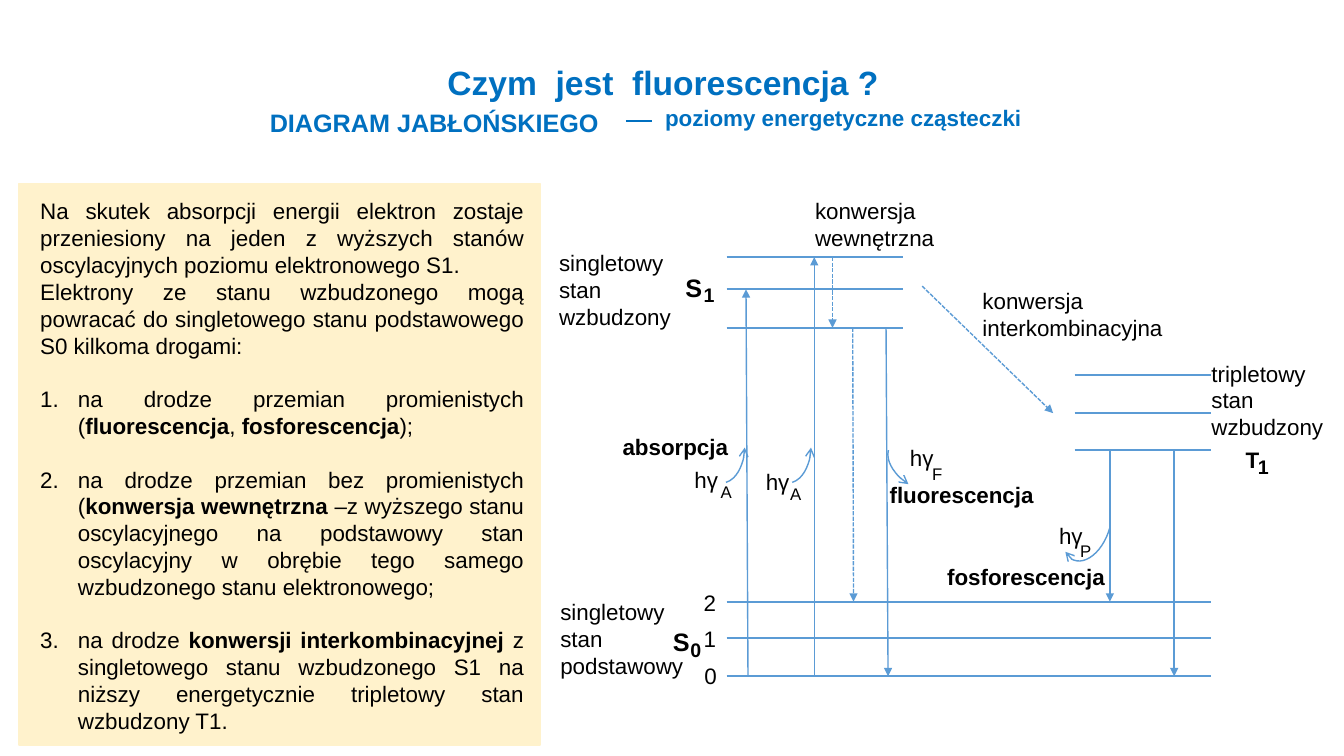
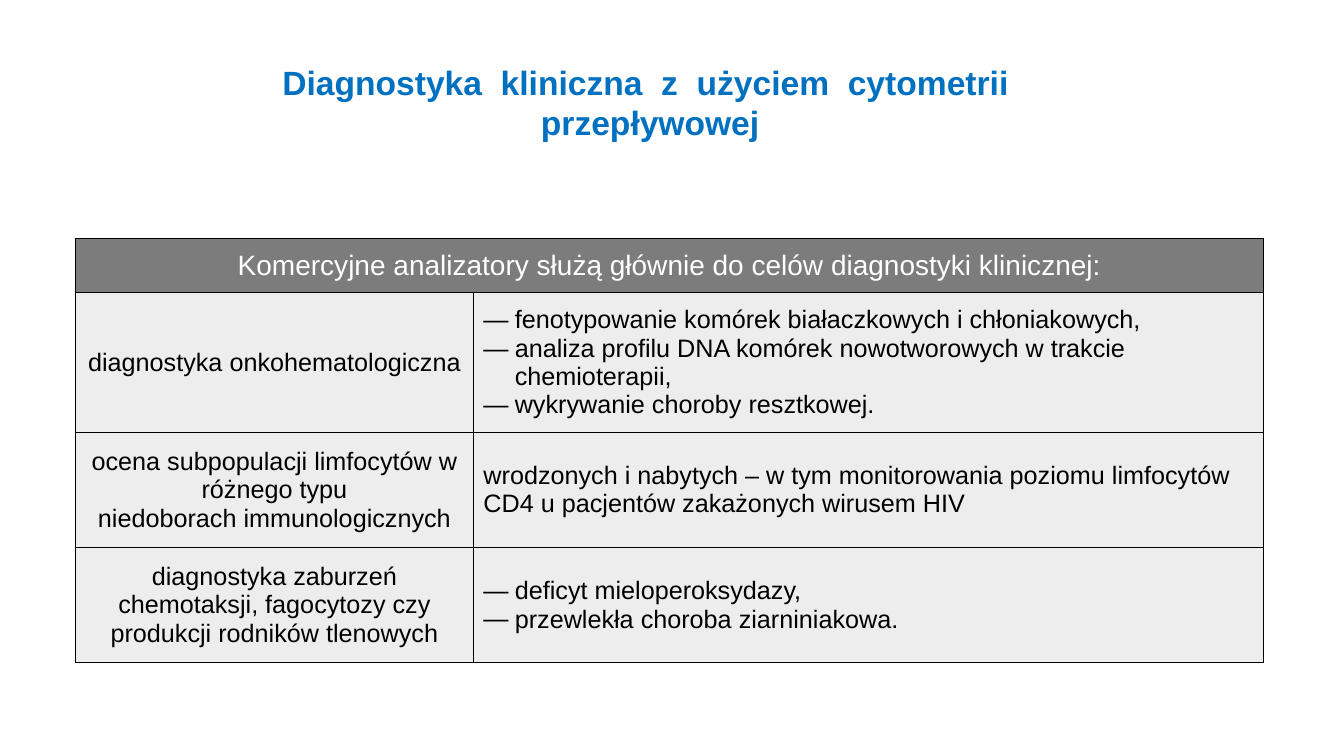
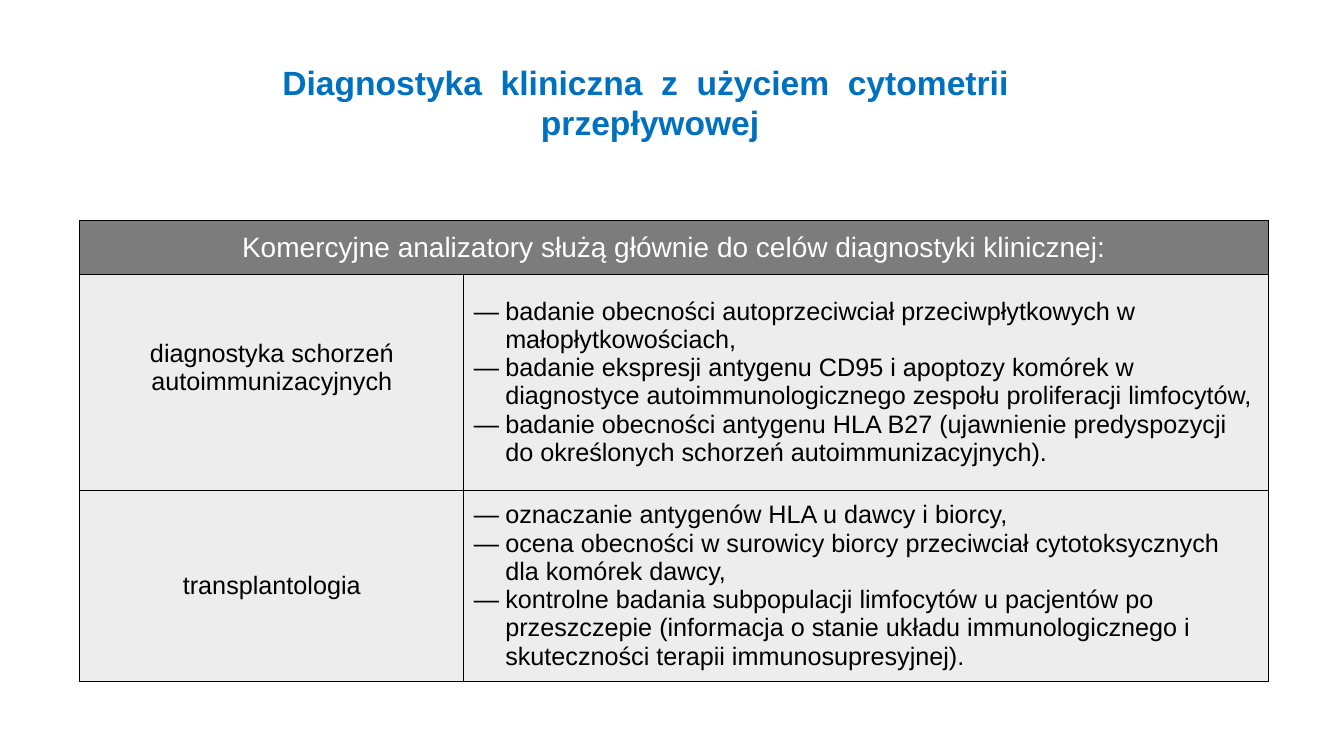
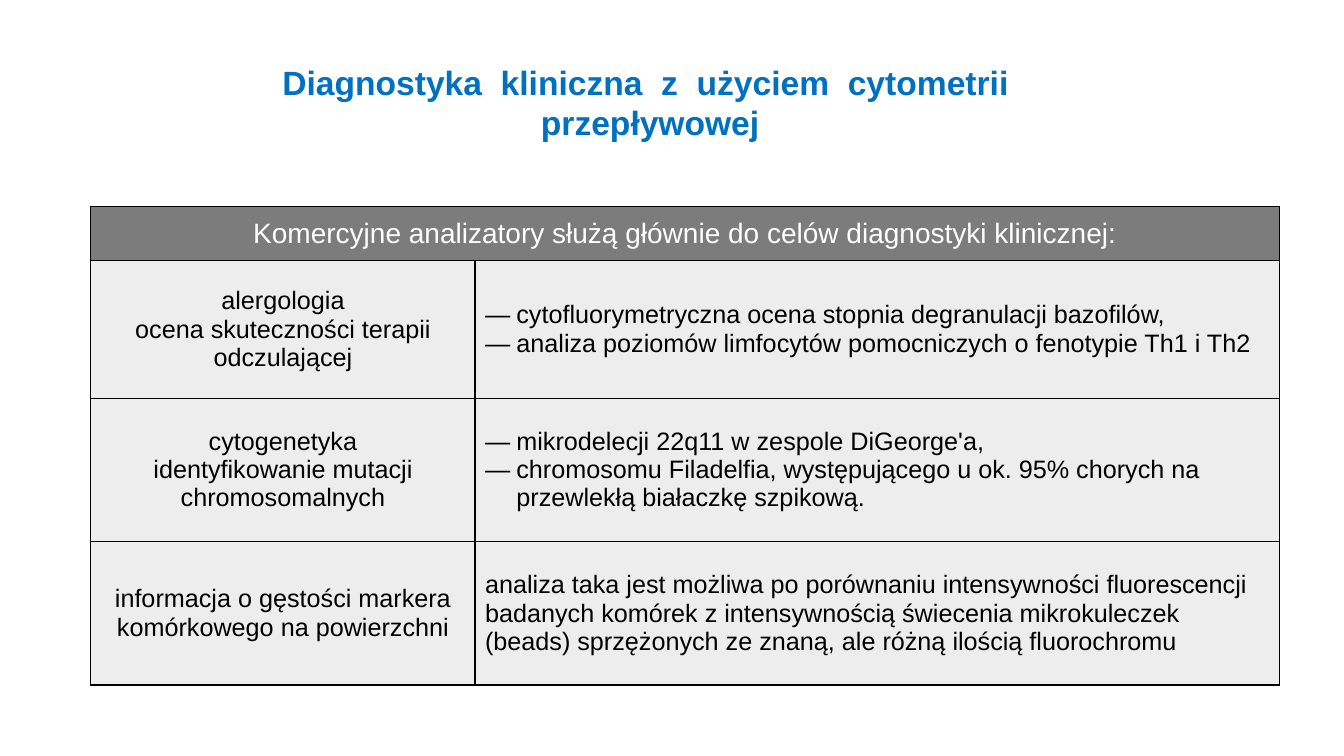
"""Build four slides on fluorescence and clinical diagnostics by flow cytometry."""
from lxml import etree
from pptx import Presentation
from pptx.dml.color import RGBColor
from pptx.enum import dml, shapes, text
from pptx.oxml.ns import qn
from pptx.util import Cm, Pt

HEADING_BLUE = RGBColor(0x00, 0x70, 0xC0)
DIAGRAM_BLUE = RGBColor(0x5B, 0x9B, 0xD5)
PANEL_CREAM = RGBColor(0xFF, 0xF2, 0xCC)
HEADER_GREY = RGBColor(0x7C, 0x7C, 0x7C)
CELL_GREY = RGBColor(0xED, 0xED, 0xED)
BLACK = RGBColor(0, 0, 0)
WHITE = RGBColor(0xFF, 0xFF, 0xFF)
FONT = "Arial"
LEFT, CENTER, JUSTIFY = text.PP_ALIGN.LEFT, text.PP_ALIGN.CENTER, text.PP_ALIGN.JUSTIFY

JABLONSKI_TITLE = "Czym  jest  fluorescencja ?"
JABLONSKI_TITLE_BOX = (11.02, 1.42, 11.71, 1.27)
SUBHEADINGS = [
    ("DIAGRAM JABŁOŃSKIEGO", 6.55, 2.57, 8.89, 18),
    ("poziomy energetyczne cząsteczki", 16.51, 2.51, 9.6, 16),
]
SUBHEADING_DASH = (15.77, 3.05, 16.43, 3.05)

PANEL_BOX = (0.48, 4.62, 13.13, 14.15)
EXPLANATION_BOX = (0.76, 4.85, 12.7, 13.94)
INTRODUCTION = [
    "Na skutek absorpcji energii elektron zostaje przeniesiony na jeden z wyższych "
    "stanów oscylacyjnych poziomu elektronowego S1.",
    "Elektrony ze stanu wzbudzonego mogą powracać do singletowego stanu "
    "podstawowego S0 kilkoma drogami:",
]
PATHWAYS = [
    [("na drodze przemian promienistych (", False), ("fluorescencja", True),
     (", ", False), ("fosforescencja", True), (");", False)],
    [("na drodze przemian bez promienistych (", False), ("konwersja wewnętrzna ", True),
     ("–z wyższego stanu oscylacyjnego na podstawowy stan oscylacyjny w obrębie "
      "tego samego wzbudzonego stanu elektronowego;", False)],
    [("na drodze ", False), ("konwersji interkombinacyjnej ", True),
     ("z singletowego stanu wzbudzonego S1 na niższy energetycznie tripletowy stan "
      "wzbudzony T1.", False)],
]

ENERGY_LEVELS = [
    (18.31, 30.51, (15.16, 16.08, 17.04)),
    (18.31, 22.76, (6.48, 7.29, 8.26)),
    (27.08, 30.51, (9.46, 10.41, 11.35)),
]
TRANSITIONS = [
    (18.85, 17.04, 18.8, 7.29),
    (20.52, 17.04, 20.52, 6.48),
    (22.33, 8.26, 22.38, 17.04),
    (27.97, 11.35, 27.97, 15.16),
    (29.59, 11.35, 29.59, 17.04),
]
CONVERSIONS = [
    (21.49, 8.26, 21.51, 15.16),
    (20.98, 6.48, 20.98, 8.26),
    (23.24, 7.21, 26.54, 10.41),
]
PHOTON_SIZE = (1.14, 1.88)
PHOTONS = [
    (17.63, 10.29, 0, (2.99, 50.43), "headEnd"),
    (19.3, 10.29, 0, (2.99, 50.43), "headEnd"),
    (22.66, 10.8, 121.2, (2.99, 50.43), "headEnd"),
    (26.82, 12.29, 199.9, (101.49, 173.39), "tailEnd"),
]
LABELS = [
    ("1", 17.48, 15.62, 0.84, 16, False),
    ("0", 17.5, 16.56, 0.84, 16, False),
    ("2", 17.48, 14.71, 0.84, 16, False),
    ("S", 16.71, 15.65, 0.94, 18, True),
    ("0", 17.15, 15.95, 0.79, 14, True),
    ("S", 17.02, 6.73, 0.94, 18, True),
    ("1", 17.48, 7.01, 0.79, 14, True),
    ("T", 31.14, 11.13, 0.86, 16, True),
    ("1", 31.45, 11.33, 0.79, 14, True),
    ("hγ", 17.25, 11.63, 1.12, 16, False),
    ("A", 17.91, 12.01, 0.79, 12, False),
    ("hγ", 19.05, 11.66, 1.12, 16, False),
    ("A", 19.66, 12.07, 0.79, 12, False),
    ("hγ", 22.68, 11.07, 1.12, 16, False),
    ("F", 23.24, 11.56, 0.79, 12, False),
    ("hγ", 26.44, 13.03, 1.12, 16, False),
    ("P", 26.97, 13.49, 0.79, 12, False),
    ("singletowy\nstan\npodstawowy", 13.87, 14.96, 3.63, 16, False),
    ("singletowy\nstan\nwzbudzony", 13.84, 6.15, 3.35, 16, False),
    ("tripletowy\nstan\nwzbudzony", 30.28, 8.94, 3.35, 16, False),
    ("konwersja\nwewnętrzna", 20.29, 4.85, 3.56, 16, False),
    ("konwersja\ninterkombinacyjna", 24.51, 7.11, 5.11, 16, False),
    ("absorpcja", 15.44, 10.8, 3.2, 16, True),
    ("fluorescencja", 22.17, 12.01, 4.19, 16, True),
    ("fosforescencja", 23.62, 14.07, 4.52, 16, True),
]

DIAGNOSTICS_TITLE = "Diagnostyka  kliniczna  z  użyciem  cytometrii  przepływowej"
DIAGNOSTICS_TITLE_BOX = (4.47, 1.42, 23.83, 2.31)
TABLE_HEADER = "Komercyjne analizatory służą głównie do celów diagnostyki klinicznej:"
HEADER_HEIGHT = 1.35
CELL_MARGIN = 0.13
RAISED_MARGIN = 0.84
DIAGNOSTICS = [
    {"at": (1.9, 6.02), "columns": (10.03, 19.92), "rows": [
        (3.53, ["diagnostyka onkohematologiczna"], CELL_MARGIN, "―", [
            "fenotypowanie komórek białaczkowych i chłoniakowych,",
            "analiza profilu DNA komórek nowotworowych w trakcie chemioterapii,",
            "wykrywanie choroby resztkowej."]),
        (2.9, ["ocena subpopulacji limfocytów w różnego typu",
               "niedoborach immunologicznych"], CELL_MARGIN, None, [
            "wrodzonych i nabytych – w tym monitorowania poziomu limfocytów CD4 "
            "u pacjentów zakażonych wirusem HIV"]),
        (2.9, ["diagnostyka zaburzeń chemotaksji, fagocytozy czy produkcji rodników "
               "tlenowych"], CELL_MARGIN, "—", [
            "deficyt mieloperoksydazy,",
            "przewlekła choroba ziarniniakowa."]),
    ]},
    {"at": (2.01, 5.56), "columns": (9.68, 20.27), "rows": [
        (5.44, ["diagnostyka schorzeń autoimmunizacyjnych"], RAISED_MARGIN, "―", [
            "badanie obecności autoprzeciwciał przeciwpłytkowych w małopłytkowościach,",
            "badanie ekspresji antygenu CD95 i apoptozy komórek w diagnostyce "
            "autoimmunologicznego zespołu proliferacji limfocytów,",
            "badanie obecności antygenu HLA B27 (ujawnienie predyspozycji do "
            "określonych schorzeń autoimmunizacyjnych)."]),
        (4.82, ["transplantologia"], CELL_MARGIN, "―", [
            "oznaczanie antygenów HLA u dawcy i biorcy,",
            "ocena obecności w surowicy biorcy przeciwciał cytotoksycznych dla komórek "
            "dawcy,",
            "kontrolne badania subpopulacji limfocytów u pacjentów po przeszczepie "
            "(informacja o stanie układu immunologicznego i skuteczności terapii "
            "immunosupresyjnej)."]),
    ]},
    {"at": (2.29, 5.21), "columns": (9.68, 20.27), "rows": [
        (3.48, ["alergologia", "ocena skuteczności terapii odczulającej"],
         CELL_MARGIN, "―", [
            "cytofluorymetryczna ocena stopnia degranulacji bazofilów,",
            "analiza poziomów limfocytów pomocniczych o fenotypie Th1 i Th2"]),
        (3.61, ["cytogenetyka", "identyfikowanie mutacji chromosomalnych"],
         CELL_MARGIN, "―", [
            "mikrodelecji 22q11 w zespole DiGeorge'a,",
            "chromosomu Filadelfia, występującego u ok. 95% chorych na przewlekłą "
            "białaczkę szpikową."]),
        (3.61, ["informacja o gęstości markera komórkowego na powierzchni"],
         CELL_MARGIN, None, [
            "analiza taka jest możliwa po porównaniu intensywności fluorescencji "
            "badanych komórek z intensywnością świecenia mikrokuleczek (beads) "
            "sprzężonych ze znaną, ale różną ilością fluorochromu"]),
    ]},
]


def lengths(values):
    return [Cm(value) for value in values]


def apply(target, formats):
    for name, value in formats.items():
        setattr(target, name, value)


def set_font(font, size, color=BLACK, bold=False):
    apply(font, {"name": FONT, "size": Pt(size), "bold": bold})
    font.color.rgb = color


def set_list(paragraph, tag, indent=0.0, **attributes):
    properties = paragraph._p.get_or_add_pPr()
    properties.set("marL", str(Cm(indent)))
    properties.set("indent", str(-Cm(indent)))
    etree.SubElement(properties, qn("a:buFont"), typeface=FONT)
    etree.SubElement(properties, qn(tag), attributes)


def paragraphs(frame, count):
    while len(frame.paragraphs) < count:
        frame.add_paragraph()
    return frame.paragraphs


def place(shape, box):
    apply(shape, dict(zip(("left", "top", "width", "height"), lengths(box))))


def set_title(slide, wording, box, align):
    title = slide.shapes.title
    place(title, box)
    apply(title.text_frame, {"text": wording, "word_wrap": True,
                             "vertical_anchor": text.MSO_ANCHOR.TOP,
                             "auto_size": text.MSO_AUTO_SIZE.NONE})
    paragraph = title.text_frame.paragraphs[0]
    paragraph.alignment = align
    set_font(paragraph.font, 24, HEADING_BLUE, True)


def add_label(slide, wording, left, top, width, size, bold, color=BLACK, wrap=False):
    lines = wording.split("\n")
    height = 0.25 + 0.043 * size * len(lines)
    frame = slide.shapes.add_textbox(*lengths((left, top, width, height))).text_frame
    apply(frame, {"word_wrap": wrap, "auto_size": text.MSO_AUTO_SIZE.SHAPE_TO_FIT_TEXT})
    for paragraph, line in zip(paragraphs(frame, len(lines)), lines):
        paragraph.text = line
        set_font(paragraph.font, size, color, bold)


def style_line(line, width, color=DIAGRAM_BLUE):
    line.color.rgb = color
    line.width = Pt(width)


def add_arrowhead(line, end, kind):
    etree.SubElement(line._get_or_add_ln(), qn("a:" + end), type=kind)


def add_line(slide, ends, width, color=DIAGRAM_BLUE, dashed=False, arrow=False):
    connector = slide.shapes.add_connector(shapes.MSO_CONNECTOR.STRAIGHT, *lengths(ends))
    style_line(connector.line, width, color)
    if dashed:
        connector.line.dash_style = dml.MSO_LINE.SQUARE_DOT
    if arrow:
        add_arrowhead(connector.line, "tailEnd", "triangle")
    etree.SubElement(connector._element.spPr, qn("a:effectLst"))


def add_photon(slide, left, top, rotation, bends, arrow_end):
    arc = slide.shapes.add_shape(shapes.MSO_SHAPE.ARC, *lengths((left, top) + PHOTON_SIZE))
    for index, bend in enumerate(bends):
        arc.adjustments[index] = bend
    arc.rotation = rotation
    arc.shadow.inherit = False
    arc.fill.background()
    style_line(arc.line, 1)
    add_arrowhead(arc.line, arrow_end, "arrow")


def add_explanation(slide):
    panel = slide.shapes.add_shape(shapes.MSO_SHAPE.RECTANGLE, *lengths(PANEL_BOX))
    panel.shadow.inherit = False
    panel.fill.solid()
    panel.fill.fore_color.rgb = PANEL_CREAM
    style_line(panel.line, 1, PANEL_CREAM)

    body = slide.placeholders[1]
    panel._element.addnext(body._element)
    place(body, EXPLANATION_BOX)
    frame = body.text_frame
    frame.auto_size = text.MSO_AUTO_SIZE.NONE
    entries = [[(line, False)] for line in INTRODUCTION] + PATHWAYS
    for index, (paragraph, runs) in enumerate(zip(paragraphs(frame, len(entries)), entries)):
        numbered = index >= len(INTRODUCTION)
        apply(paragraph, {"alignment": JUSTIFY, "space_before": Pt(19 if numbered else 0)})
        if numbered:
            set_list(paragraph, "a:buAutoNum", 0.95, type="arabicPeriod")
        else:
            set_list(paragraph, "a:buNone")
        set_font(paragraph.font, 16)
        for wording, bold in runs:
            run = paragraph.add_run()
            run.text = wording
            set_font(run.font, 16, bold=bold)


def add_jablonski_slide(deck):
    slide = deck.slides.add_slide(deck.slide_layouts[1])
    set_title(slide, JABLONSKI_TITLE, JABLONSKI_TITLE_BOX, LEFT)
    for subheading in SUBHEADINGS:
        add_label(slide, *subheading, bold=True, color=HEADING_BLUE, wrap=True)
    add_line(slide, SUBHEADING_DASH, 1.5, HEADING_BLUE)
    add_explanation(slide)
    for left, right, heights in ENERGY_LEVELS:
        for height in heights:
            add_line(slide, (left, height, right, height), 1.5)
    for transition in TRANSITIONS:
        add_line(slide, transition, 1, arrow=True)
    for conversion in CONVERSIONS:
        add_line(slide, conversion, 1, dashed=True, arrow=True)
    for photon in PHOTONS:
        add_photon(slide, *photon)
    for label in LABELS:
        add_label(slide, *label)


def fill_cell(cell, lines, align, size=18, color=BLACK, fill=CELL_GREY, bullet=None,
              bottom=CELL_MARGIN):
    apply(cell, {"vertical_anchor": text.MSO_ANCHOR.MIDDLE, "margin_bottom": Cm(bottom)})
    for paragraph, line in zip(paragraphs(cell.text_frame, len(lines)), lines):
        apply(paragraph, {"text": line, "alignment": align})
        if bullet:
            set_list(paragraph, "a:buChar", 0.79, char=bullet)
        set_font(paragraph.font, size, color)
    properties = cell._tc.get_or_add_tcPr()
    for side in ("lnL", "lnR", "lnT", "lnB"):
        border = etree.SubElement(properties, qn("a:" + side), w=str(Pt(1)))
        solid = etree.SubElement(border, qn("a:solidFill"))
        etree.SubElement(solid, qn("a:srgbClr"), val=str(BLACK))
    cell.fill.solid()
    cell.fill.fore_color.rgb = fill


def add_diagnostics_slide(deck, content):
    slide = deck.slides.add_slide(deck.slide_layouts[5])
    set_title(slide, DIAGNOSTICS_TITLE, DIAGNOSTICS_TITLE_BOX, CENTER)
    heights = [HEADER_HEIGHT] + [row[0] for row in content["rows"]]
    size = (sum(content["columns"]), sum(heights))
    table = slide.shapes.add_table(len(heights), 2, *lengths(content["at"] + size)).table
    apply(table, {"first_row": False, "horz_banding": False})
    for column, width in zip(table.columns, content["columns"]):
        column.width = Cm(width)
    for row, height in zip(table.rows, heights):
        row.height = Cm(height)
    table.cell(0, 0).merge(table.cell(0, 1))
    for cell, lines in zip(table.rows[0].cells, ([TABLE_HEADER], [])):
        fill_cell(cell, lines, CENTER, 20, WHITE, HEADER_GREY)
    for index, (_, field, bottom, bullet, uses) in enumerate(content["rows"], 1):
        fill_cell(table.cell(index, 0), field, CENTER, bottom=bottom)
        fill_cell(table.cell(index, 1), uses, LEFT, bullet=bullet)


def main():
    deck = Presentation()
    apply(deck, {"slide_width": Cm(33.87), "slide_height": Cm(19.05)})
    add_jablonski_slide(deck)
    for content in DIAGNOSTICS:
        add_diagnostics_slide(deck, content)
    deck.save("out.pptx")


if __name__ == "__main__":
    main()
